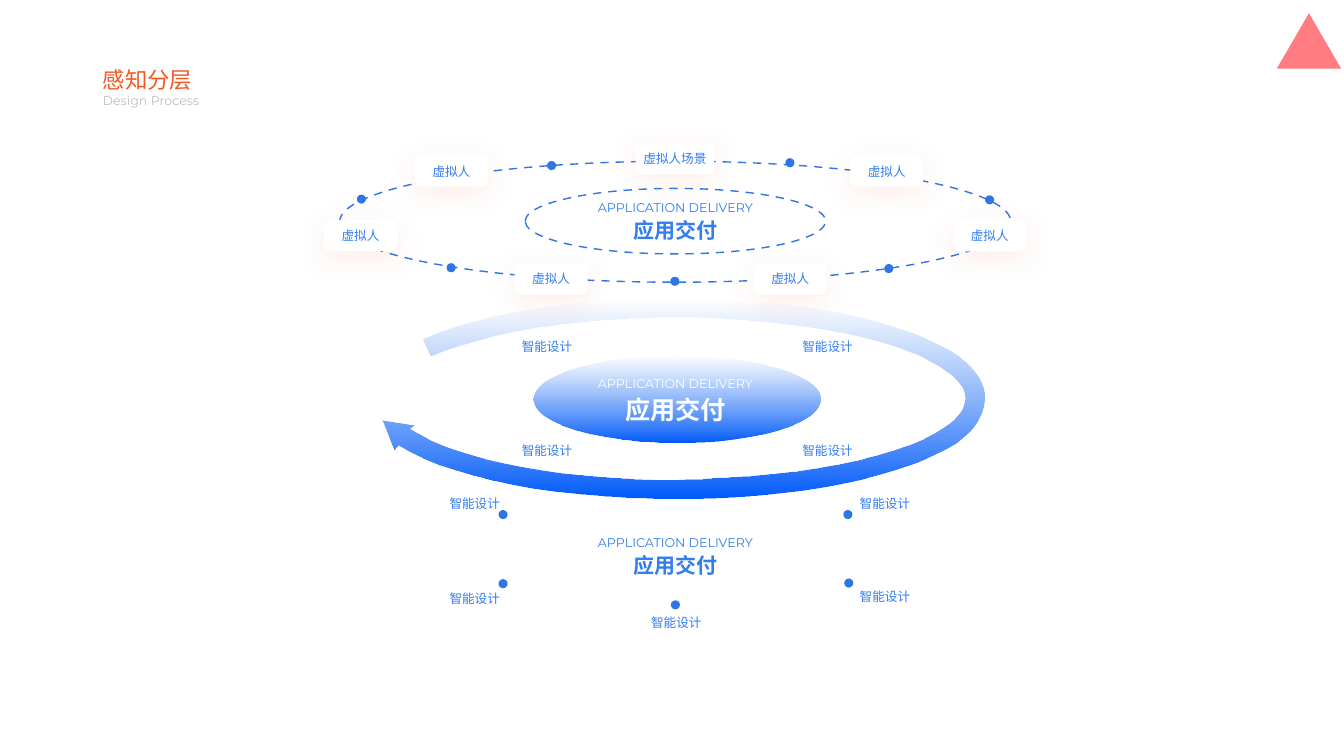
import pptx
import pptx.util
import pptx.dml.color
import pptx.enum.shapes
import pptx.enum.text
import pptx.enum.dml
import pptx.oxml
import pptx.oxml.ns

Pt = pptx.util.Pt
SHAPES = pptx.enum.shapes.MSO_SHAPE
ALIGN = pptx.enum.text.PP_ALIGN
XMLNS = pptx.oxml.ns.nsdecls("a")
COLORS = {"blue": "327DF0", "deep": "015AFC", "dot": "2F75E5", "orange": "F25822",
          "grey": "7F7F7F", "white": "FFFFFF", "pink": "FF7C80"}
COLORS = {name: pptx.dml.color.RGBColor.from_string(code) for name, code in COLORS.items()}

deck = pptx.Presentation()
deck.slide_width, deck.slide_height = Pt(960), Pt(540)
page = deck.slides.add_slide(deck.slide_layouts[6])


def draw(kind, left, top, width, height, fill=None):
    shape = page.shapes.add_shape(kind, Pt(left), Pt(top), Pt(width), Pt(height))
    shape.shadow.inherit = False
    shape.line.fill.background()
    if fill:
        shape.fill.solid()
        shape.fill.fore_color.rgb = COLORS[fill]
    else:
        shape.fill.background()
    return shape


def write(para, text, size=9, font="Lato", color="blue", bold=False, align=ALIGN.LEFT):
    para.alignment = align
    span = para.add_run()
    span.text = text
    span.font.size = Pt(size)
    span.font.name = font
    span.font.bold = bold
    span.font.color.rgb = COLORS[color]


# Corner mark
draw(SHAPES.ISOSCELES_TRIANGLE, 912, 9.4, 46, 39.6, fill="pink")

# Core of the middle layer and the two dashed rings of the top layer
core = draw(SHAPES.OVAL, 381.2, 253.8, 205.2, 62)
for left, top, width, height in [(242.6, 115.2, 479.5, 86.4), (375.1, 134.6, 214.6, 46.8)]:
    ring = draw(SHAPES.OVAL, left, top, width, height)
    ring.line.color.rgb = COLORS["dot"]
    ring.line.width = Pt(1)
    ring.line.dash_style = pptx.enum.dml.MSO_LINE.DASH
    preset = ring.element.xpath(".//a:prstDash")[0]
    preset.getparent().replace(preset, pptx.oxml.parse_xml(
        f'<a:custDash {XMLNS}><a:ds d="600000" sp="500000"/></a:custDash>'))

# Sweeping arrow, in thousandths of 72 points: three points make a curve, one a straight edge
arrow_start = (5750, 3010)
arrow_edges = [
    [(6380, 2950), (7060, 2950), (7690, 3010)],
    [(8310, 3080), (8860, 3210), (9230, 3380)],
    [(9410, 3460), (9560, 3560), (9650, 3670)],
    [(9750, 3780), (9790, 3910), (9750, 4050)],
    [(9720, 4180), (9620, 4290), (9480, 4390)],
    [(9340, 4480), (9150, 4570), (8920, 4640)],
    [(8470, 4790), (7870, 4890), (7220, 4930)],
    [(6560, 4960), (5890, 4930), (5300, 4840)],
    [(4720, 4740), (4240, 4600), (3950, 4410)],
    [(3910, 4460)], [(3790, 4160)], [(4110, 4210)], [(4070, 4250)],
    [(4330, 4420), (4770, 4560), (5330, 4650)],
    [(5910, 4740), (6570, 4770), (7210, 4730)],
    [(7850, 4700), (8430, 4600), (8860, 4460)],
    [(9080, 4390), (9250, 4310), (9370, 4230)],
    [(9490, 4140), (9550, 4070), (9560, 4000)],
    [(9580, 3940), (9570, 3870), (9500, 3790)],
    [(9440, 3720), (9320, 3630), (9150, 3550)],
    [(8800, 3390), (8280, 3270), (7670, 3210)],
    [(7050, 3140), (6380, 3140), (5770, 3200)],
    [(5150, 3260), (4620, 3390), (4270, 3540)],
    [(4190, 3370)],
    [(4570, 3200), (5120, 3070), (5750, 3010)],
]
builder = page.shapes.build_freeform(*arrow_start, scale=Pt(72) / 1000)
builder.add_line_segments([point for edge in arrow_edges for point in edge], close=True)
arrow = builder.convert_to_shape()
arrow.shadow.inherit = False
arrow.line.fill.background()
# Join each run of three line points into one curve
segments = iter(arrow.element.xpath(".//a:lnTo"))
for edge in arrow_edges:
    first, *others = [next(segments) for point in edge]
    if others:
        curve = pptx.oxml.parse_xml(f"<a:cubicBezTo {XMLNS}/>")
        first.addprevious(curve)
        for segment in (first, *others):
            curve.append(segment[0])
            segment.getparent().remove(segment)

# Both fade from clear at the top to deep blue at the bottom
for shape in (core, arrow):
    shape.fill.gradient()
    shape.fill.gradient_angle = 270
    for stop, position, color in zip(shape.fill.gradient_stops, (0, 1), ("blue", "deep")):
        stop.position = position
        stop.color.rgb = COLORS[color]
    clear = shape.element.xpath(".//a:gs[1]/a:srgbClr")[0]
    clear.append(pptx.oxml.parse_xml(f'<a:alpha {XMLNS} val="0"/>'))

# Cards on the outer ring
cards = [(538.5, 188, 52, "虚拟人"), (367.7, 188, 52, "虚拟人"), (231.6, 157, 52, "虚拟人"),
         (296.5, 111, 52, "虚拟人"), (607.5, 111, 52, "虚拟人"), (681, 157.3, 52, "虚拟人"),
         (454.1, 102, 56, "虚拟人场景")]
for left, top, width, text in cards:
    card = draw(SHAPES.ROUNDED_RECTANGLE, left, top, width, 22.3, fill="white")
    card.adjustments[0] = 0.18
    card.element.spPr.find(pptx.oxml.ns.qn("a:effectLst")).append(pptx.oxml.parse_xml(
        f'<a:outerShdw {XMLNS} blurRad="{Pt(20)}" dist="{Pt(5)}" '
        f'dir="5400000" algn="t" rotWithShape="0"><a:srgbClr val="{COLORS["orange"]}">'
        '<a:alpha val="10000"/></a:srgbClr></a:outerShdw>'))
    frame = card.text_frame
    frame.margin_left = frame.margin_right = frame.margin_top = frame.margin_bottom = 0
    frame.word_wrap = False
    write(frame.paragraphs[0], text, align=ALIGN.CENTER)

# Dots of the top and bottom layers
for left, top in [(561, 113), (390.7, 115), (478.8, 197.7), (254.9, 139), (319, 188),
                  (703.6, 139.5), (631.6, 188.6), (356.1, 364.3), (356.1, 413.7), (479.2, 428.8),
                  (603, 413.2), (602.4, 364.3)]:
    draw(SHAPES.OVAL, left, top, 6.5, 6.5, fill="dot")

# Layer headings, centred on one axis, and the labels around them
AXIS = 483
labels = []
for top, size, width, height, color in [(139, 15, 75, 25, "blue"), (378.5, 15, 75, 25, "blue"),
                                        (265, 18, 87, 29, "white")]:
    labels.append((AXIS - 63, top, 126, 18, "APPLICATION DELIVERY",
                   {"font": "Montserrat", "color": color}))
    labels.append((AXIS - width / 2, top + 12.9, width, height, "应用交付",
                   {"size": size, "color": color, "bold": True}))
for left, top in [(365.6, 238.5), (365.6, 313), (566, 238.8), (566, 312.8), (607, 350.6),
                  (607, 417), (458, 435.6), (314, 418.3), (314, 350.6)]:
    labels.append((left, top, 51, 18, "智能设计", {}))
for left, top, width, height, text, style in labels:
    box = page.shapes.add_textbox(Pt(left), Pt(top), Pt(width), Pt(height))
    box.text_frame.word_wrap = False
    box.text_frame.auto_size = pptx.enum.text.MSO_AUTO_SIZE.SHAPE_TO_FIT_TEXT
    write(box.text_frame.paragraphs[0], text, **style)

# Title
title = page.shapes.add_textbox(Pt(73.4), Pt(47.5), Pt(333.4), Pt(28.8))
frame = title.text_frame
frame.margin_left = frame.margin_right = frame.margin_top = frame.margin_bottom = 0
frame.word_wrap = True
write(frame.paragraphs[0], "感知分层", size=16, color="orange")
write(frame.add_paragraph(), "Design Process", font="Montserrat", color="grey")
subtitle_color = title.element.xpath(".//a:srgbClr")[-1]
subtitle_color.append(pptx.oxml.parse_xml(f'<a:alpha {XMLNS} val="50000"/>'))

deck.save("out.pptx")
